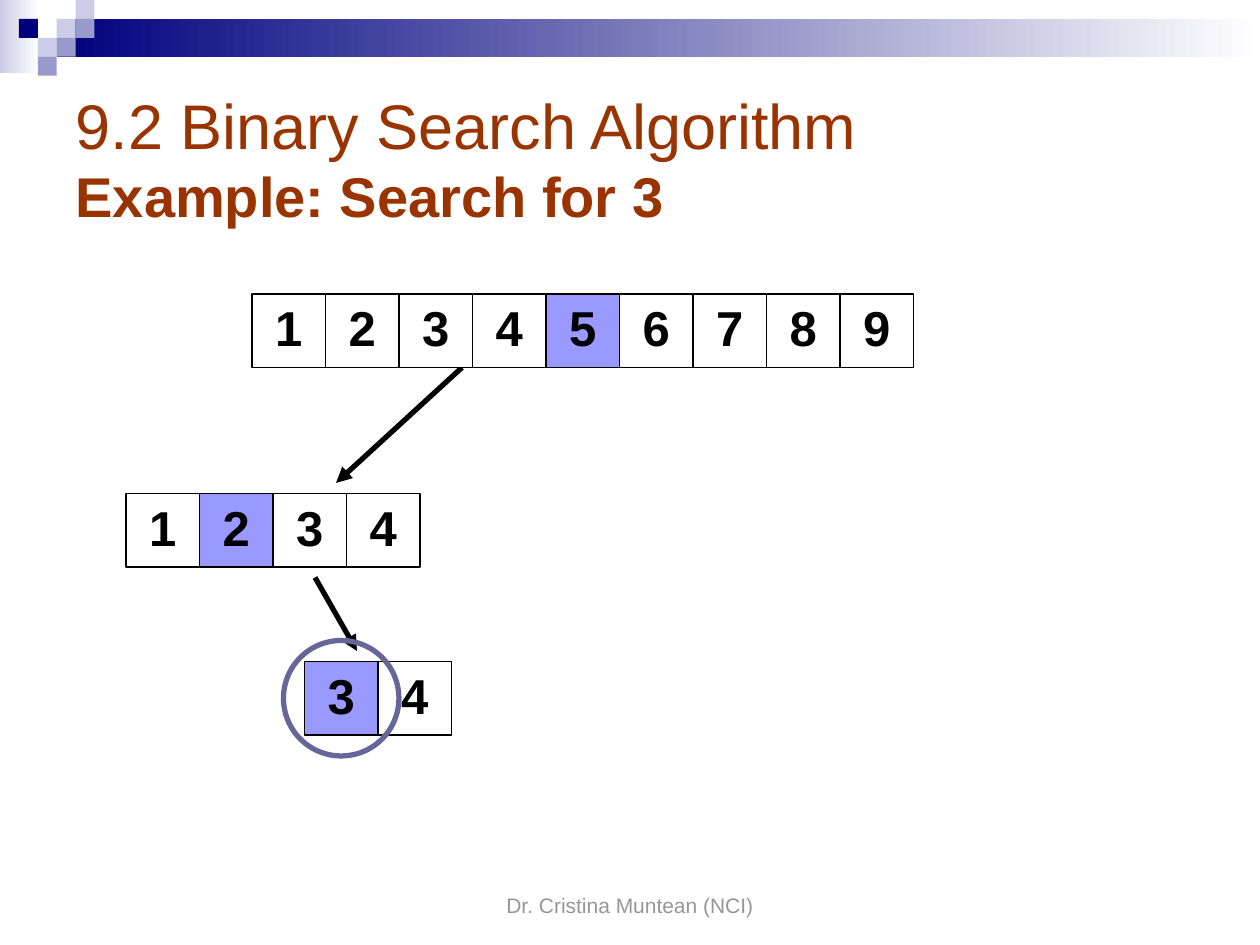
"""Draw a binary search for 3 as shrinking rows of cells."""
from dataclasses import dataclass
from typing import Any

from lxml.etree import SubElement
from pptx import Presentation
from pptx.dml.color import RGBColor
from pptx.enum.shapes import MSO_CONNECTOR, MSO_SHAPE
from pptx.enum.text import MSO_ANCHOR, MSO_AUTO_SIZE, PP_ALIGN
from pptx.oxml.ns import qn
from pptx.util import Inches, Pt

HUES = {"navy": "00007D", "pale": "CCCCE6", "mid": "9999CC", "white": "FFFFFF",
        "pick": "9999FF", "ring": "666699", "rust": "993300", "gray": "969696",
        "black": "000000"}
UNIT = Inches(10) / 120
SIDE = 7
TILE = 1.8
CELL = {"word_wrap": False, "vertical_anchor": MSO_ANCHOR.MIDDLE}
FOOT = {"word_wrap": True, "vertical_anchor": MSO_ANCHOR.BOTTOM}
HEAD = {"word_wrap": True, "vertical_anchor": MSO_ANCHOR.MIDDLE,
        "auto_size": MSO_AUTO_SIZE.NONE}


@dataclass
class Row:
    """A run of numbers, with its grid place and the probed value."""
    col: int
    line: int
    first: int
    last: int
    probe: int


@dataclass
class Arrow:
    """A step between rows, from one grid point to another."""
    start: tuple[int, int]
    end: tuple[int, int]


@dataclass
class Tile:
    """A square of the corner mosaic."""
    col: int
    line: int
    hue: str


ROWS = [Row(24, 28, 1, 9, 5), Row(12, 47, 1, 4, 2), Row(29, 63, 3, 4, 3)]
ARROWS = [Arrow((44, 35), (32, 46)), Arrow((30, 55), (34, 62))]
TILES = [Tile(3, 1, "pale"), Tile(4, 0, "pale"), Tile(4, 1, "mid"),
         Tile(2, 2, "pale"), Tile(1, 1, "navy"), Tile(3, 2, "mid"),
         Tile(2, 3, "mid")]


def tint(name: str) -> RGBColor:
    """Look up a colour."""
    return RGBColor.from_string(HUES[name])


def grid(*nums: float) -> list[int]:
    """Turn grid counts into lengths."""
    return [round(n * UNIT) for n in nums]


def style(item: Any, form: dict[str, Any]) -> None:
    """Set each format value on an item."""
    for key, val in form.items():
        setattr(item, key, val)


def write(para: Any, text: str, size: int, hue: str, bold: bool = False) -> None:
    """Add a run to a paragraph."""
    run = para.add_run()
    run.text = text
    style(run.font, {"name": "Arial", "size": Pt(size), "bold": bold})
    run.font.color.rgb = tint(hue)


def block(slide: Any, box: tuple[float, ...], hue: str = "", edge: str = "",
          width: float = 1, kind: Any = MSO_SHAPE.RECTANGLE) -> Any:
    """Draw a flat shape on the grid."""
    shape = slide.shapes.add_shape(kind, *grid(*box))
    shape.shadow.inherit = False
    if hue:
        shape.fill.solid()
        shape.fill.fore_color.rgb = tint(hue)
    else:
        shape.fill.background()
    if edge:
        shape.line.color.rgb = tint(edge)
        shape.line.width = Pt(width)
    else:
        shape.line.fill.background()
    return shape


def fade(slide: Any, box: tuple[float, ...], hue: str) -> None:
    """Draw a bar that fades to white on the right."""
    fill = block(slide, box).fill
    fill.gradient()
    fill.gradient_angle = 0
    for stop, name in zip(fill.gradient_stops, (hue, "white")):
        stop.color.rgb = tint(name)


def draw_row(slide: Any, row: Row) -> None:
    """Draw the cells of a row."""
    for step, num in enumerate(range(row.first, row.last + 1)):
        hue = "pick" if num == row.probe else "white"
        box = (row.col + step * SIDE, row.line, SIDE, SIDE)
        frame = block(slide, box, hue, "black").text_frame
        style(frame, CELL)
        para = frame.paragraphs[0]
        style(para, {"alignment": PP_ALIGN.CENTER, "line_spacing": 0.9})
        write(para, str(num), 28, "black", True)


def draw_arrow(slide: Any, arrow: Arrow) -> None:
    """Draw a line with an arrowhead at its end."""
    link = slide.shapes.add_connector(
        MSO_CONNECTOR.STRAIGHT, *grid(*arrow.start, *arrow.end))
    link.line.color.rgb = tint("black")
    link.line.width = Pt(3)
    SubElement(link.line._get_or_add_ln(), qn("a:tailEnd"), type="triangle")
    SubElement(link._element.spPr, qn("a:effectLst"))


def draw_title(slide: Any) -> None:
    """Fill and place the title."""
    title = slide.shapes.title
    spots = zip(("left", "top", "width", "height"), grid(6, 6, 108, 18))
    style(title, dict(spots))
    style(title.text_frame, HEAD)
    para = title.text_frame.paragraphs[0]
    para.alignment = PP_ALIGN.LEFT
    write(para, "9.2 Binary Search Algorithm", 36, "rust")
    para.add_line_break()
    write(para, "Example: Search for 3", 32, "rust", True)


def draw_foot(slide: Any) -> None:
    """Write the footer line."""
    frame = slide.shapes.add_textbox(*grid(41, 82, 38, 6)).text_frame
    style(frame, FOOT)
    para = frame.paragraphs[0]
    para.alignment = PP_ALIGN.CENTER
    write(para, "Dr. Cristina Muntean (NCI)", 12, "gray")


def main() -> None:
    """Build and save the deck."""
    deck = Presentation()
    style(deck, {"slide_width": Inches(10), "slide_height": Inches(7.5)})
    slide = deck.slides.add_slide(deck.slide_layouts[5])
    fade(slide, (0, 0, 3.7, 7), "pale")
    fade(slide, (3 * TILE, TILE, 120 - 3 * TILE, 2 * TILE), "navy")
    for tile in TILES:
        block(slide, (tile.col * TILE, tile.line * TILE, TILE, TILE), tile.hue)
    draw_foot(slide)
    draw_title(slide)
    for arrow in ARROWS:
        draw_arrow(slide, arrow)
    for row in ROWS:
        draw_row(slide, row)
    block(slide, (27, 61, 11, 11), "", "ring", 3, MSO_SHAPE.OVAL)
    deck.save("out.pptx")


if __name__ == "__main__":
    main()
